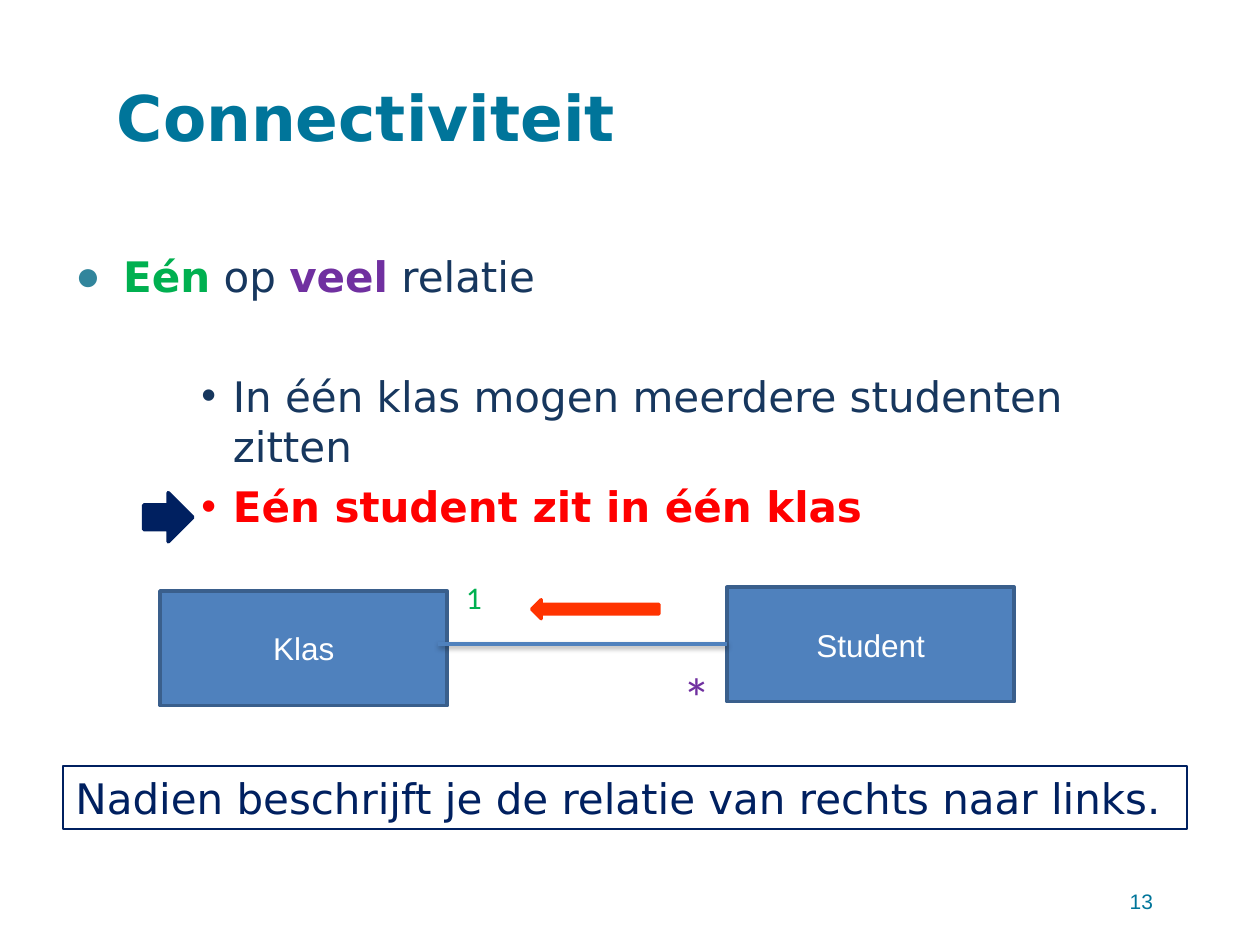
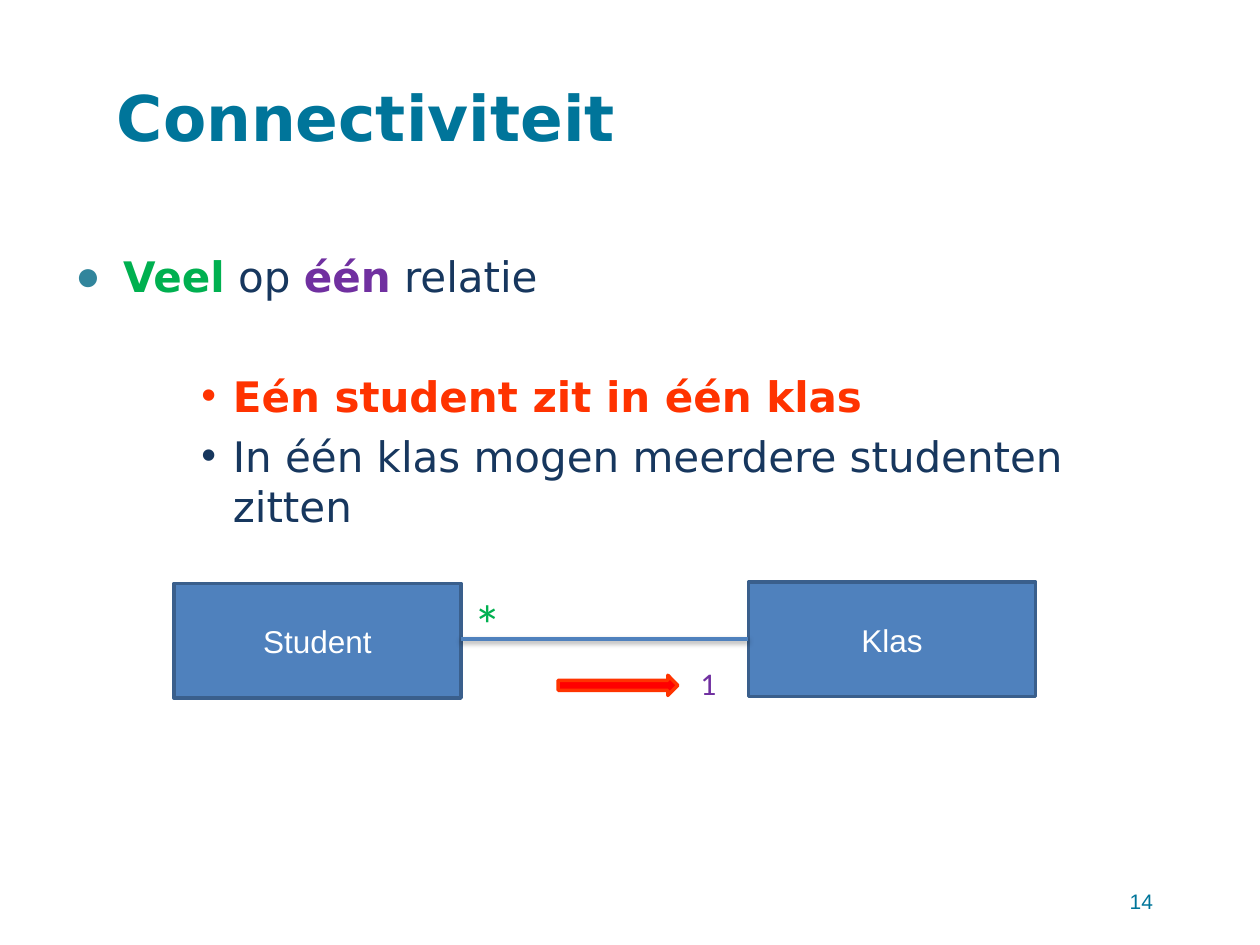
from dataclasses import dataclass
from typing import NamedTuple, Optional

from lxml.etree import SubElement
from pptx import Presentation
from pptx.dml.color import RGBColor
from pptx.enum.shapes import MSO_CONNECTOR, MSO_SHAPE
from pptx.enum.text import MSO_ANCHOR, MSO_AUTO_SIZE, PP_ALIGN
from pptx.oxml.ns import qn
from pptx.util import Inches, Pt

COLUMNS, ROWS = 100, 75
CELL = Inches(0.1)

HEADING_FONT, BOX_FONT, LABEL_FONT = "DejaVu Sans", "Arial", "Calibri"
TEAL, BULLET_TEAL, INK, NAVY = "00759A", "31859C", "17375E", "002060"
GREEN, PURPLE, RED, ORANGE = "00B050", "7030A0", "FF0000", "FF3300"
BLUE, BLUE_EDGE, WHITE = "4F81BD", "3A5F8C", "FFFFFF"

ENTITY_WIDTH, ENTITY_HEIGHT = 22.8, 9.1
BULLET_GAP, SECTION_GAP = 5.5, 39.5


class Area(NamedTuple):
    column: float
    row: float
    width: float
    height: float


class Phrase(NamedTuple):
    text: str
    color: str = INK
    bold: bool = False


@dataclass
class Bullet:
    phrases: list[Phrase]
    gap: float
    margin: float = 12.5
    hanging: float = 2.5
    mark: str = "•"
    mark_color: Optional[str] = None
    level: int = 2


@dataclass
class Entity:
    name: str
    column: float
    row: float


@dataclass
class Multiplicity:
    symbol: str
    area: Area
    color: str
    size: int


@dataclass
class Arrow:
    preset: MSO_SHAPE
    area: Area
    fill: str
    edge: str


@dataclass
class Relation:
    number: int
    bullets: list[Bullet]
    entities: list[Entity]
    link: tuple[float, float, float]
    multiplicities: list[Multiplicity]
    direction: Arrow


def cells(count: float) -> int:
    return round(count * CELL)


def rgb(color: str) -> RGBColor:
    return RGBColor.from_string(color)


def emu(area: Area) -> list[int]:
    return [cells(length) for length in area]


def add_phrase(paragraph, text: str, *, size: float, font: str, color: str,
               bold: bool = False) -> None:
    run = paragraph.add_run()
    run.text = text
    run.font.size, run.font.name, run.font.bold = Pt(size), font, bold
    run.font.color.rgb = rgb(color)


def write(frame, text: str, *, align=PP_ALIGN.LEFT, anchor=MSO_ANCHOR.TOP,
          grow: bool = False, **style) -> None:
    frame.word_wrap = True
    frame.vertical_anchor = anchor
    frame.auto_size = MSO_AUTO_SIZE.SHAPE_TO_FIT_TEXT if grow else MSO_AUTO_SIZE.NONE
    frame.paragraphs[0].alignment = align
    add_phrase(frame.paragraphs[0], text, **style)


def add_text(shapes, area: Area, text: str, **style) -> None:
    write(shapes.add_textbox(*emu(area)).text_frame, text, **style)


def add_block(shapes, preset: MSO_SHAPE, area: Area, fill: Optional[str],
              edge: str, edge_width: float = 2):
    block = shapes.add_shape(preset, *emu(area))
    block.shadow.inherit = False
    if fill:
        block.fill.solid()
        block.fill.fore_color.rgb = rgb(fill)
    else:
        block.fill.background()
    block.line.color.rgb = rgb(edge)
    block.line.width = Pt(edge_width)
    return block


def add_arrow(shapes, arrow: Arrow) -> None:
    add_block(shapes, arrow.preset, arrow.area, arrow.fill, arrow.edge)


def add_link(shapes, start: float, end: float, row: float) -> None:
    link = shapes.add_connector(MSO_CONNECTOR.STRAIGHT, cells(start), cells(row),
                                cells(end), cells(row))
    link.line.color.rgb = rgb(BLUE)
    link.line.width = Pt(2)
    effects = SubElement(link._element.spPr, qn("a:effectLst"))
    shadow = SubElement(effects, qn("a:outerShdw"), blurRad=str(Pt(3.1)),
                        dist=str(Pt(1.6)), dir="5400000", rotWithShape="0")
    shade = SubElement(shadow, qn("a:srgbClr"), val="000000")
    SubElement(shade, qn("a:alpha"), val="38000")


def mark_bullet(paragraph, bullet: Bullet) -> None:
    properties = paragraph._p.get_or_add_pPr()
    properties.set("marL", str(cells(bullet.margin)))
    properties.set("indent", str(-cells(bullet.hanging)))
    if bullet.mark_color:
        tint = SubElement(properties, qn("a:buClr"))
        SubElement(tint, qn("a:srgbClr"), val=bullet.mark_color)
    SubElement(properties, qn("a:buFont"), typeface=BOX_FONT)
    SubElement(properties, qn("a:buChar"), char=bullet.mark)


def add_bullets(shapes, area: Area, bullets: list[Bullet]) -> None:
    frame = shapes.add_textbox(*emu(area)).text_frame
    frame.word_wrap = True
    for index, bullet in enumerate(bullets):
        paragraph = frame.add_paragraph() if index else frame.paragraphs[0]
        paragraph.level = bullet.level
        if index:
            paragraph.space_before = Pt(bullet.gap)
        mark_bullet(paragraph, bullet)
        for phrase in bullet.phrases:
            add_phrase(paragraph, phrase.text, size=24, font=HEADING_FONT,
                       color=phrase.color, bold=phrase.bold)


def add_diagram(slide, relation: Relation) -> None:
    diagram = slide.shapes.add_group_shape().shapes
    for entity in relation.entities:
        area = Area(entity.column, entity.row, ENTITY_WIDTH, ENTITY_HEIGHT)
        block = add_block(diagram, MSO_SHAPE.RECTANGLE, area, BLUE, BLUE_EDGE)
        write(block.text_frame, entity.name, size=18, font=BOX_FONT, color=WHITE,
              align=PP_ALIGN.CENTER, anchor=MSO_ANCHOR.MIDDLE)
    add_link(diagram, *relation.link)
    for end in relation.multiplicities:
        add_text(diagram, end.area, end.symbol, size=end.size, font=LABEL_FONT,
                 color=end.color, grow=True)
    add_arrow(diagram, relation.direction)


def add_relation_slide(deck, relation: Relation):
    slide = deck.slides.add_slide(deck.slide_layouts[6])
    add_text(slide.shapes, Area(8.3, 3, 86.7, 12.5), "Connectiviteit", size=36,
             font=HEADING_FONT, color=TEAL, bold=True, anchor=MSO_ANCHOR.MIDDLE)
    add_bullets(slide.shapes, Area(5, 19.4, 90, 43.3), relation.bullets)
    add_text(slide.shapes, Area(69.2, 69.5, 23.3, 4), str(relation.number), size=12,
             font=BOX_FONT, color=TEAL, align=PP_ALIGN.RIGHT, anchor=MSO_ANCHOR.MIDDLE)
    add_diagram(slide, relation)
    return slide


def add_conclusion(slide, text: str) -> None:
    note = add_block(slide.shapes, MSO_SHAPE.RECTANGLE, Area(5, 60.8, 89.2, 5),
                     None, NAVY, 0.75)
    write(note.text_frame, text, size=24, font=HEADING_FONT, color=NAVY, grow=True)


def relation_heading(left: str, right: str) -> Bullet:
    phrases = [Phrase(left, GREEN, True), Phrase(" op "),
               Phrase(right, PURPLE, True), Phrase(" relatie")]
    return Bullet(phrases, 0, 3.8, 3.8, "●", BULLET_TEAL, 0)


def class_rule(gap: float) -> Bullet:
    return Bullet([Phrase("In één klas mogen meerdere studenten zitten")], gap)


def student_rule(gap: float, color: str) -> Bullet:
    return Bullet([Phrase("Eén student zit in één klas", color, True)], gap)


ONE_TO_MANY = Relation(
    number=13,
    bullets=[relation_heading("Eén", "veel"), class_rule(SECTION_GAP),
             student_rule(BULLET_GAP, RED)],
    entities=[Entity("Klas", 12.7, 46.9), Entity("Student", 57.7, 46.6)],
    link=(34.8, 57.7, 51.1),
    multiplicities=[Multiplicity("1", Area(36, 45.4, 5.6, 4), GREEN, 18),
                    Multiplicity("*", Area(53.2, 52.1, 3.1, 6.4), PURPLE, 32)],
    direction=Arrow(MSO_SHAPE.LEFT_ARROW, Area(42.2, 47.6, 10.1, 1.5), ORANGE, ORANGE),
)
MANY_TO_ONE = Relation(
    number=14,
    bullets=[relation_heading("Veel", "één"), student_rule(SECTION_GAP, ORANGE),
             class_rule(BULLET_GAP)],
    entities=[Entity("Student", 13.8, 46.3), Entity("Klas", 59.4, 46.2)],
    link=(36.6, 59.4, 50.7),
    multiplicities=[Multiplicity("*", Area(36.6, 46.3, 5.6, 6.4), GREEN, 32),
                    Multiplicity("1", Area(54.6, 52.2, 4.7, 4), PURPLE, 18)],
    direction=Arrow(MSO_SHAPE.RIGHT_ARROW, Area(44.3, 53.6, 9.5, 1.6), RED, ORANGE),
)
ACTIVE_RULE = Arrow(MSO_SHAPE.RIGHT_ARROW, Area(11.4, 39.1, 3.9, 3.9), NAVY, NAVY)


def main() -> None:
    deck = Presentation()
    deck.slide_width, deck.slide_height = cells(COLUMNS), cells(ROWS)
    one_to_many = add_relation_slide(deck, ONE_TO_MANY)
    add_conclusion(one_to_many, "Nadien beschrijft je de relatie van rechts naar links.")
    add_arrow(one_to_many.shapes, ACTIVE_RULE)
    add_relation_slide(deck, MANY_TO_ONE)
    deck.save("out.pptx")


if __name__ == "__main__":
    main()
